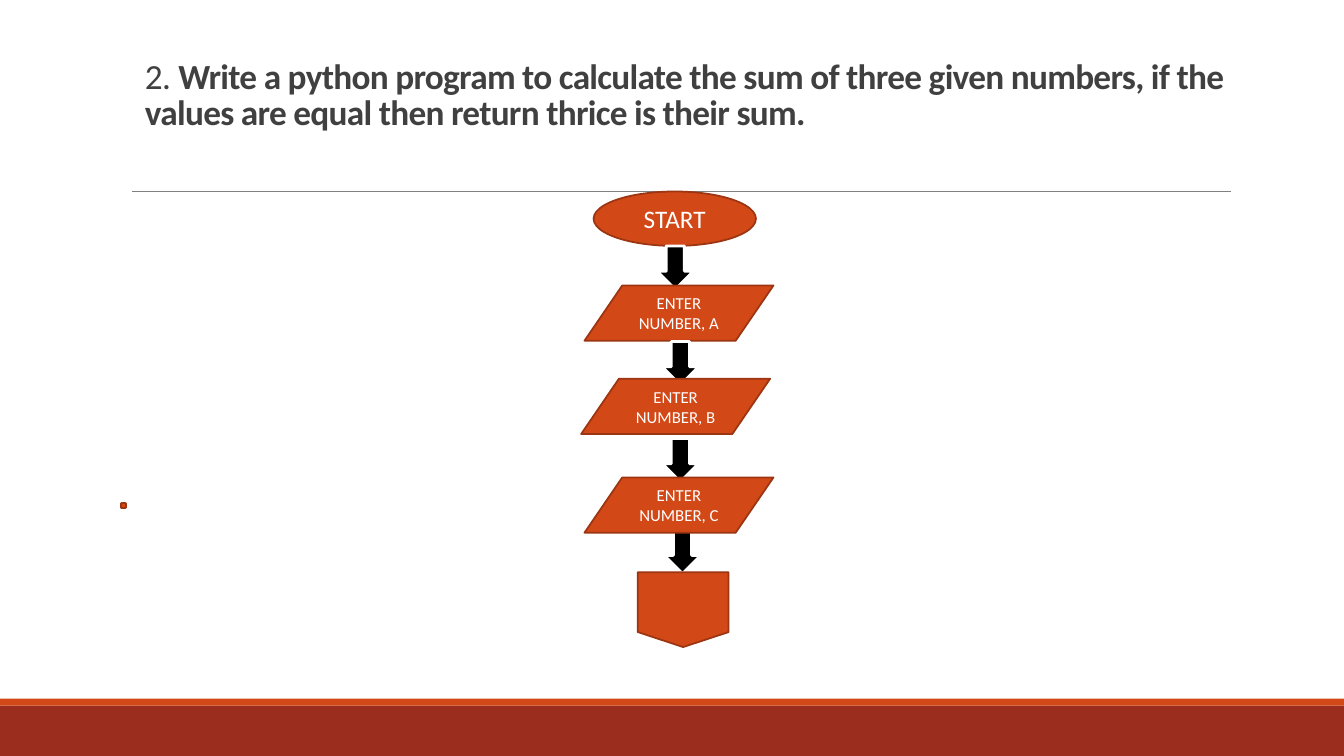
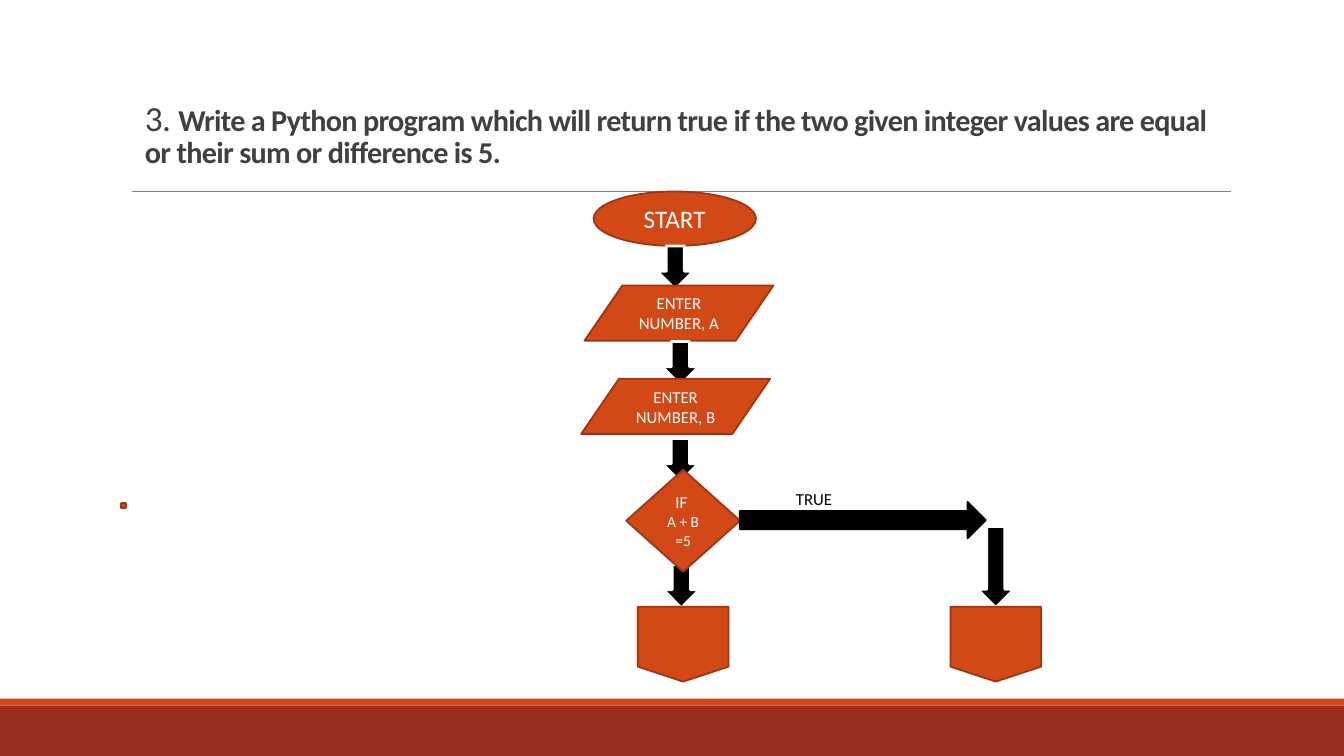
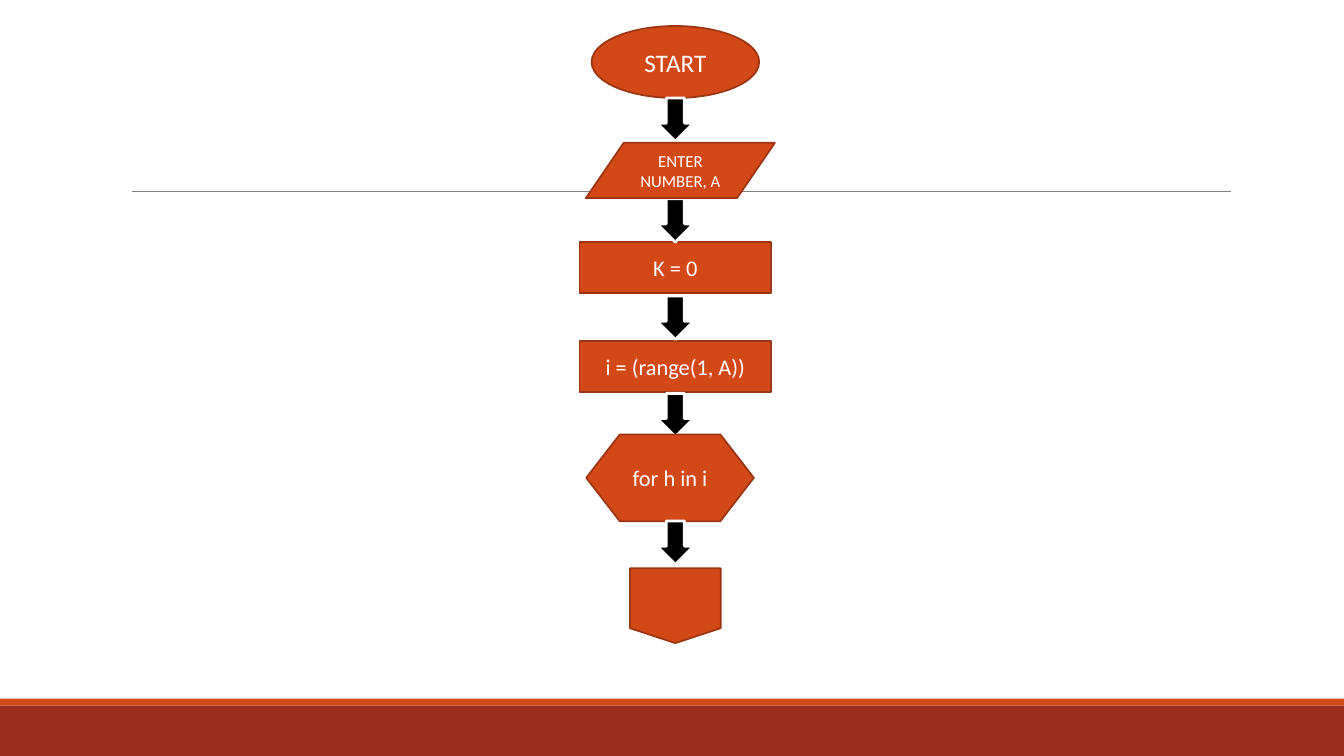
from dataclasses import dataclass
from lxml import etree
from pptx import Presentation
from pptx import util as u
from pptx.dml.color import RGBColor
from pptx.enum import shapes, text
from pptx.oxml.ns import qn

Pt = u.Pt
Kind = shapes.MSO_SHAPE


@dataclass(frozen=True)
class Theme:
    font: str = "Calibri"
    orange: str = "D34817"
    outline: str = "9C3511"
    brick: str = "9B2D1F"
    rule: str = "808080"
    title: str = "404040"
    black: str = "000000"
    white: str = "FFFFFF"
    title_size: float = 25.2
    title_small: float = 21.6
    start_size: float = 18
    step_size: float = 16
    label_size: float = 12
    condition_size: float = 11
    title_tracking: str = "-50"


THEME = Theme()
PAGE = (960, 540)
BANDS = [((0, 504, 960, 36), THEME.brick), ((0, 499, 960, 5), THEME.orange)]
RULE = (94.5, 879, 137)

STEPS = {
    "start": (Kind.OVAL, 116, 38.9, THEME.start_size),
    "input": (Kind.FLOWCHART_DATA, 135, 39.5, THEME.label_size),
    "process": (Kind.RECTANGLE, 137, 36.7, THEME.step_size),
    "loop": (Kind.FLOWCHART_PREPARATION, 119.7, 62, THEME.step_size),
    "decision": (Kind.FLOWCHART_DECISION, 81.4, 72.9, THEME.label_size),
    "next": (Kind.FLOWCHART_OFFPAGE_CONNECTOR, 64.8, 53.4, THEME.label_size),
    "dot": (Kind.FLOWCHART_ALTERNATE_PROCESS, 3.6, 3.6, THEME.label_size),
    "down": (Kind.DOWN_ARROW, 26, 31, THEME.label_size),
    "right": (Kind.RIGHT_ARROW, 175.7, 26, THEME.label_size),
}
ARROW_LINES = {"down": (THEME.white, 2), "right": (THEME.black, 1.25)}

OPENING = [
    ("dot", 88.2, 359.3),
    ("start", 482, 136.8, "START"),
    ("down", 482.4, 175.7),
    ("input", 485, 203.9, "ENTER NUMBER, A"),
    ("down", 486, 244),
    ("down", 486, 313.2),
]
INPUT_B = ("input", 482.6, 270.5, "ENTER NUMBER, B")

SLIDES = [
    {
        "title": ("2. ", "Write a python program to calculate the sum of three given numbers, "
                  "if the values are equal then return thrice is their sum."),
        "title_box": (96.5, 39, 792, 85.6), "title_size": THEME.title_size, "title_foot": 30,
        "flow": OPENING + [
            ("down", 487.5, 378.7),
            ("next", 488, 408.8),
            INPUT_B,
            ("input", 485, 341, "ENTER NUMBER, C"),
        ],
    },
    {
        "title": ("3. ", "Write a Python program which will return true if the two given integer "
                  "values are equal or their sum or difference is 5."),
        "title_box": (96.5, 49.7, 792, 74.9), "title_size": THEME.title_small, "title_foot": 3.6,
        "flow": OPENING + [
            ("down", 486.7, 403.2),
            ("next", 488, 433.5),
            INPUT_B,
            ("decision", 488, 335.5, "IF \nA + B =5"),
            ("right", 616.3, 358.5),
            ("down", 711.3, 376, "", (26, 58)),
            ("next", 711.3, 433.5),
        ],
        "label": ("TRUE", (561.4, 345.6, 68.4, 21.8)),
    },
    {
        "flow": [
            ("start", 482.4, 18.6, "START", (119.7, 51.4)),
            ("down", 482.4, 70),
            ("process", 482.4, 172.7, "K = 0"),
            ("down", 482.4, 142),
            ("process", 482.4, 243.4, "i = (range(1, A))"),
            ("input", 486, 102, "ENTER NUMBER, A"),
            ("down", 482.4, 211.5),
            ("down", 482.4, 281),
            ("loop", 478.6, 310.3, "for h in i"),
            ("down", 482.4, 372.2),
            ("next", 482.4, 406),
        ],
    },
]


def points(box):
    return [Pt(length) for length in box]


def style(font, size, color):
    font.name, font.size = THEME.font, Pt(size)
    font.color.rgb = RGBColor.from_string(color)


def add_block(slide, kind, box, fill, line=None):
    block = slide.shapes.add_shape(kind, *points(box))
    block.shadow.inherit = False
    block.fill.solid()
    block.fill.fore_color.rgb = RGBColor.from_string(fill)
    if line:
        block.line.color.rgb = RGBColor.from_string(line[0])
        block.line.width = Pt(line[1])
    else:
        block.line.fill.background()
    return block


def add_frame(slide):
    for box, color in BANDS:
        add_block(slide, Kind.RECTANGLE, box, color)
    left, right, top = RULE
    rule = slide.shapes.add_connector(shapes.MSO_CONNECTOR.STRAIGHT, *points((left, top, right, top)))
    rule.line.color.rgb = RGBColor.from_string(THEME.rule)
    rule.line.width = Pt(0.5)
    etree.SubElement(rule._element.spPr, qn("a:effectLst"))


def add_title(slide, parts, box, size, foot):
    frame = slide.shapes.add_textbox(*points(box)).text_frame
    frame.word_wrap = True
    frame.vertical_anchor = text.MSO_ANCHOR.BOTTOM
    frame.margin_bottom = Pt(foot)
    heading = frame.paragraphs[0]
    heading.line_spacing = 0.85
    for part, part_size, bold in zip(parts, (THEME.title_size, size), (False, True)):
        run = heading.add_run()
        run.text = part
        style(run.font, part_size, THEME.title)
        run.font.bold = bold
        run._r.get_or_add_rPr().set("spc", THEME.title_tracking)


def add_step(slide, role, center, top, words="", size=None):
    kind, width, height, type_size = STEPS[role]
    width, height = size or (width, height)
    arrow_line = ARROW_LINES.get(role)
    step = add_block(slide, kind, (center - width / 2, top, width, height),
                     THEME.black if arrow_line else THEME.orange,
                     arrow_line or (THEME.outline, 1.25))
    if not words:
        return
    step.text_frame.text = words
    for row, paragraph in enumerate(step.text_frame.paragraphs):
        paragraph.alignment = text.PP_ALIGN.CENTER
        style(paragraph.font, THEME.condition_size if row else type_size, THEME.white)


def add_label(slide, words, box):
    frame = slide.shapes.add_textbox(*points(box)).text_frame
    frame.word_wrap = True
    frame.auto_size = text.MSO_AUTO_SIZE.SHAPE_TO_FIT_TEXT
    frame.text = words
    style(frame.paragraphs[0].font, THEME.label_size, THEME.black)


deck = Presentation()
deck.slide_width, deck.slide_height = points(PAGE)
for content in SLIDES:
    slide = deck.slides.add_slide(deck.slide_layouts[6])
    add_frame(slide)
    if "title" in content:
        add_title(slide, content["title"], content["title_box"],
                  content["title_size"], content["title_foot"])
    for step in content["flow"]:
        add_step(slide, *step)
    if "label" in content:
        add_label(slide, *content["label"])
deck.save("out.pptx")
